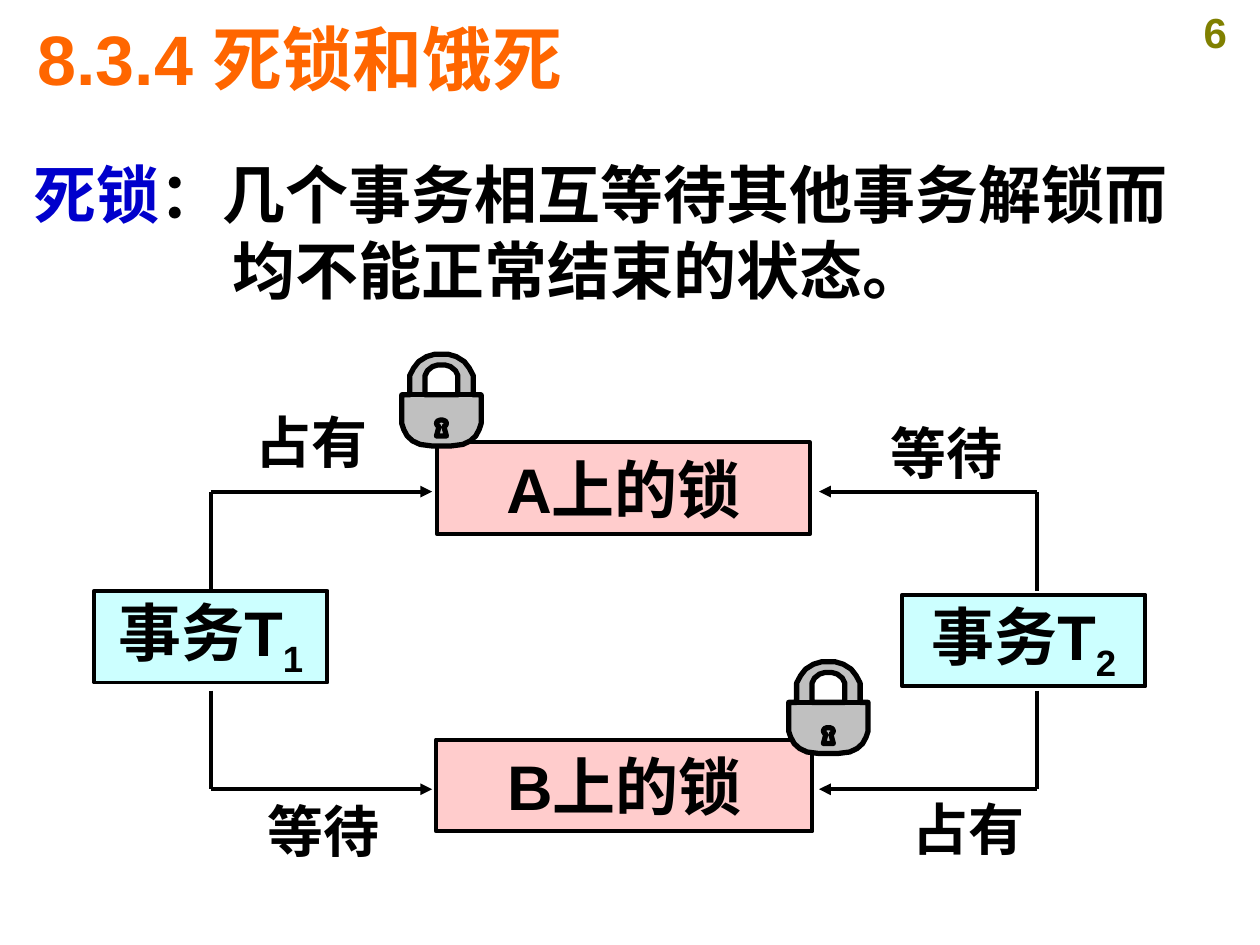
from pptx import Presentation
from pptx.dml.color import RGBColor
from pptx.enum.shapes import MSO_CONNECTOR, MSO_SHAPE
from pptx.enum.text import MSO_ANCHOR, MSO_AUTO_SIZE, PP_ALIGN
from pptx.oxml.ns import qn
from pptx.util import Cm, Pt
from lxml import etree

BLACK = RGBColor(0x00, 0x00, 0x00)
ORANGE = RGBColor(0xFF, 0x66, 0x00)
BLUE = RGBColor(0x00, 0x00, 0xCC)
OLIVE = RGBColor(0x80, 0x80, 0x00)
CYAN = RGBColor(0xCC, 0xFF, 0xFF)
PINK = RGBColor(0xFF, 0xCC, 0xCC)
GREY = RGBColor(0xC0, 0xC0, 0xC0)
CENTER, LEFT = PP_ALIGN.CENTER, PP_ALIGN.LEFT
MIDDLE = MSO_ANCHOR.MIDDLE
RECT, STRAIGHT = MSO_SHAPE.RECTANGLE, MSO_CONNECTOR.STRAIGHT
NO_AUTOFIT = MSO_AUTO_SIZE.NONE


def write(sp, text, size, color, align=CENTER, wrap=False):
    """Put one bold paragraph, vertically centred, into a shape."""
    tf = sp.text_frame
    tf.auto_size = NO_AUTOFIT
    tf.word_wrap = wrap
    tf.vertical_anchor = MIDDLE
    p = tf.paragraphs[0]
    p.alignment = align
    p.font.name, p.font.size, p.font.bold = "Arial", Pt(size), True
    p.font.color.rgb = color
    p.add_run().text = text
    return p


def mirror(half):
    """Complete a right-hand profile, given top to bottom, with its left side."""
    return half + [(-x, y) for x, y in reversed(half)]


prs = Presentation()
prs.slide_width, prs.slide_height = Cm(25.4), Cm(19.05)
s = prs.slides.add_slide(prs.slide_layouts[5])

# Title and page number
title = s.shapes.title
title.left, title.top, title.width, title.height = Cm(0.5), Cm(0.2), Cm(24.13), Cm(1.93)
write(title, "8.3.4 死锁和饿死", 40, ORANGE, LEFT, True)
number = s.shapes.add_textbox(Cm(23.6), Cm(0), Cm(1.8), Cm(1.27))
write(number, "6", 24, OLIVE)

# Definition with a hanging indent
sp = s.shapes.add_textbox(Cm(0.43), Cm(3.02), Cm(24.28), Cm(4.2))
p = write(sp, "死锁", 36, BLACK, LEFT, True)
sp.text_frame.vertical_anchor = MSO_ANCHOR.TOP
p.runs[0].font.color.rgb = BLUE
p.add_run().text = "：几个事务相互等待其他事务解锁而均不能正常结束的状态。"
pPr = p._p.get_or_add_pPr()
pPr.set("marL", str(Cm(4.01)))
pPr.set("indent", str(-Cm(4.01)))

# Transactions and locks
boxes = {}
for name, sub, x, y, w, fill in [
    ("事务T", "1", 1.9, 11.91, 4.7, CYAN),
    ("事务T", "2", 18.19, 11.99, 4.9, CYAN),
    ("A上的锁", "", 8.81, 8.92, 7.52, PINK),
    ("B上的锁", "", 8.79, 14.91, 7.59, PINK),
]:
    sp = s.shapes.add_shape(RECT, Cm(x), Cm(y), Cm(w), Cm(1.85))
    sp.shadow.inherit = False
    sp.fill.solid()
    sp.fill.fore_color.rgb = fill
    sp.line.color.rgb = BLACK
    sp.line.width = Pt(2.25)
    p = write(sp, name, 36, BLACK)
    if sub:
        r = p.add_run()
        r.text = sub
        r.font._element.set("baseline", "-25000")
    boxes[name + sub] = sp

# Each path leaves a transaction vertically, then points at a lock
for x, tip in [(4.25, 8.71), (20.9, 16.51)]:
    for start, turn in [(11.91, 9.91), (13.92, 15.91)]:
        for x1, y1, x2, arrow in [(x, start, x, False), (x, turn, tip, True)]:
            line = s.shapes.add_connector(STRAIGHT, Cm(x1), Cm(y1), Cm(x2), Cm(turn))
            line.line.color.rgb = BLACK
            line.line.width = Pt(2.25)
            if arrow:
                etree.SubElement(line.line._get_or_add_ln(), qn("a:tailEnd"), type="triangle")
            elif x == 4.25 and start == 11.91:
                line.begin_connect(boxes["事务T1"], 0)
            etree.SubElement(line._element.spPr, qn("a:effectLst"))

# Path labels
for text, x, y in [("等待", 17.7, 8.31), ("等待", 5.13, 15.93),
                   ("占有", 4.9, 8.1), ("占有", 18.14, 15.9)]:
    write(s.shapes.add_textbox(Cm(x), Cm(y), Cm(2.77), Cm(1.6)), text, 32, BLACK)

# Padlocks, drawn in hundredths of a centimetre around their top centre
OUTLINE = mirror([(13, 0), (30, 5), (46, 15), (56, 28), (64, 43), (64, 82), (80, 82),
                  (80, 140), (76, 152), (69, 165), (58, 175), (43, 182), (20, 185)])
OPENING = mirror([(8, 22), (18, 25), (28, 33), (33, 43), (33, 82)])
KEYHOLE = mirror([(3, 133), (8, 135), (10, 139), (9, 143), (5, 146), (10, 165)])
SEAM = [(-80, 82), (80, 82)]
for x, y in [(8.9, 7.14), (16.7, 13.34)]:
    for first, second, close in [(OUTLINE, OPENING, True), (KEYHOLE, SEAM, False)]:
        fb = s.shapes.build_freeform(*first[0], scale=Cm(0.01))
        fb.add_line_segments(first[1:], close=True)
        fb.move_to(*second[0])
        fb.add_line_segments(second[1:], close=close)
        sp = fb.convert_to_shape(Cm(x), Cm(y))
        sp.shadow.inherit = False
        sp.fill.solid()
        sp.fill.fore_color.rgb = GREY
        sp.line.color.rgb = BLACK
        sp.line.width = Pt(3)

prs.save("out.pptx")
